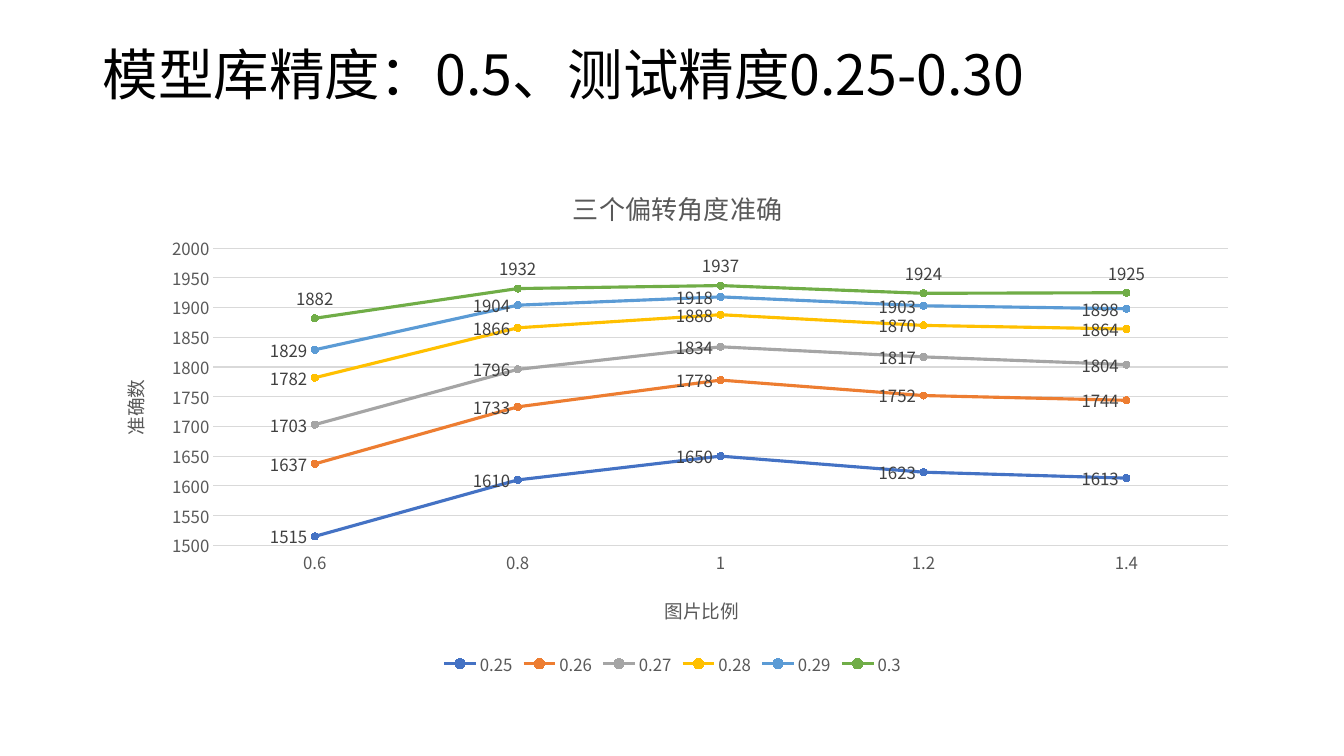
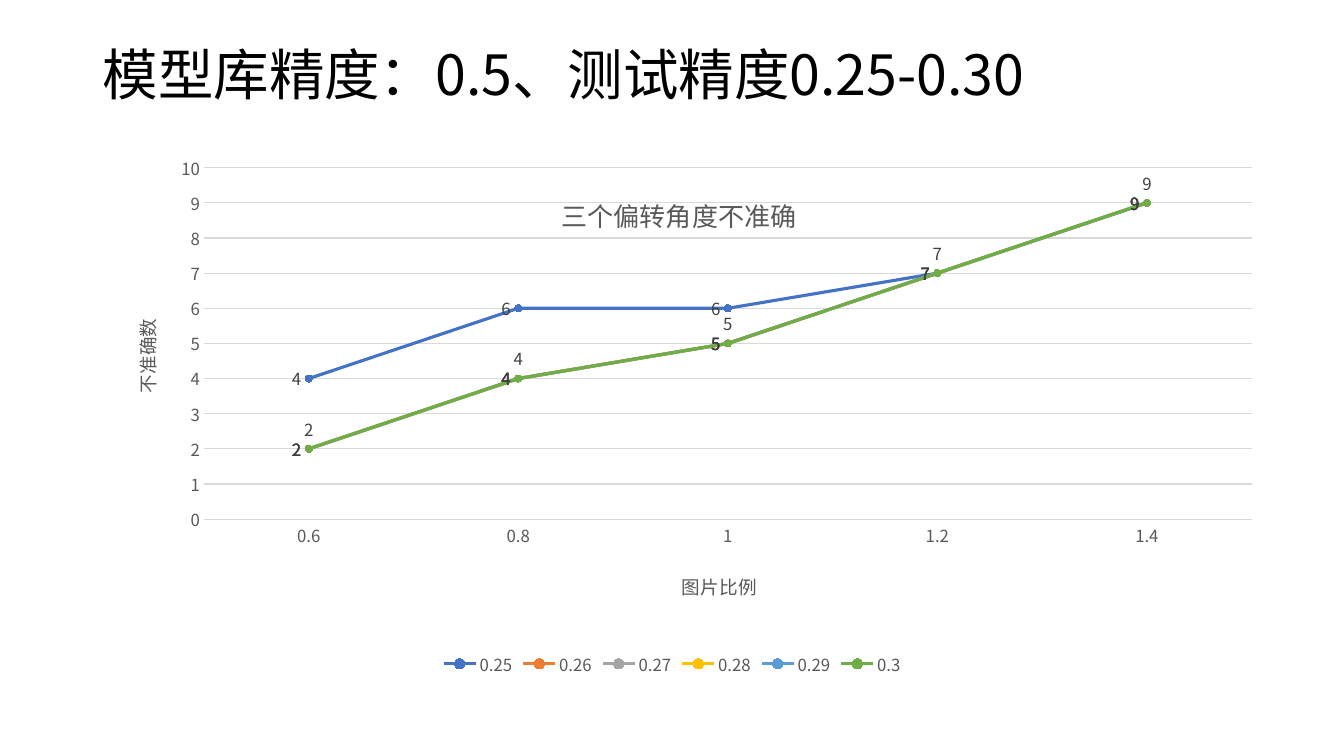
import pptx
import pptx.chart.data
import pptx.dml.color
import pptx.enum.chart
import pptx.enum.text
import pptx.oxml
import pptx.oxml.ns
import pptx.util
from pptx.util import Inches

FONT = "Noto Sans CJK SC"
BLACK, GRAY, LABEL_GRAY, GRID = "000000", "595959", "404040", "D9D9D9"
SERIES_COLORS = ["4472C4", "ED7D31", "A5A5A5", "FFC000", "5B9BD5", "70AD47"]
PRECISIONS = ["0.25", "0.26", "0.27", "0.28", "0.29", "0.3"]
SCALES = ["0.6", "0.8", "1", "1.2", "1.4"]
HEADING = "模型库精度：0.5、测试精度0.25-0.30"


def write(frame, text, size, color=GRAY, spacing=None):
    """Put one formatted paragraph into a text frame."""
    paragraph = frame.paragraphs[0]
    paragraph.line_spacing = spacing
    run = paragraph.add_run()
    run.text = text
    style(run.font, size, color)
    east_asian = run.font._element.makeelement(pptx.oxml.ns.qn("a:ea"), {"typeface": FONT})
    run.font._element.find(pptx.oxml.ns.qn("a:latin")).addnext(east_asian)


def style(font, size, color):
    font.name, font.size, font.bold = FONT, pptx.util.Pt(size), False
    font.color.rgb = pptx.dml.color.RGBColor.from_string(color)


# What differs between the slides; places are fractions of the chart area
slides = [
    dict(
        title="三个偏转角度准确", title_at=(0.41, 0.05),
        value_title="准确数", value_title_at=(0.02, 0.42), scale_title_at=(0.49, 0.83),
        axis=(1500, 2000, 50), plot_at=(0.104, 0.177, 0.875, 0.566),
        values=[
            [1515, 1610, 1650, 1623, 1613],
            [1637, 1733, 1778, 1752, 1744],
            [1703, 1796, 1834, 1817, 1804],
            [1782, 1866, 1888, 1870, 1864],
            [1829, 1904, 1918, 1903, 1898],
            [1882, 1932, 1937, 1924, 1925],
        ],
    ),
    dict(
        title="三个偏转角度不准确", title_at=(0.4, 0.057),
        value_title="不准确数", value_title_at=(0.03, 0.3), scale_title_at=(0.505, 0.783),
        axis=(0, 10, 1), plot_at=(0.096, 0.017, 0.904, 0.674),
        values=[[4, 6, 6, 7, 9]] + [[2, 4, 5, 7, 9]] * 5,
    ),
]

deck = pptx.Presentation()
deck.slide_width, deck.slide_height = Inches(13.33), Inches(7.5)

for content in slides:
    slide = deck.slides.add_slide(deck.slide_layouts[6])

    # Heading
    heading = slide.shapes.add_textbox(Inches(0.92), Inches(0.4), Inches(11.5), Inches(0.73)).text_frame
    heading.word_wrap = True
    heading.vertical_anchor = pptx.enum.text.MSO_ANCHOR.MIDDLE
    write(heading, HEADING, 39.6, BLACK, spacing=0.9)

    # Chart
    data = pptx.chart.data.CategoryChartData()
    data.categories = SCALES
    for precision, values in zip(PRECISIONS, content["values"]):
        data.add_series(precision, values)
    chart = slide.shapes.add_chart(
        pptx.enum.chart.XL_CHART_TYPE.LINE_MARKERS,
        Inches(0.92), Inches(1.54), Inches(11.5), Inches(5.21), data,
    ).chart
    style(chart.font, 10, BLACK)

    # Axes
    scale_axis, value_axis = chart.category_axis, chart.value_axis
    for axis in (scale_axis, value_axis):
        axis.major_tick_mark = axis.minor_tick_mark = pptx.enum.chart.XL_TICK_MARK.NONE
        style(axis.tick_labels.font, 12, GRAY)
    value_axis.minimum_scale, value_axis.maximum_scale, value_axis.major_unit = content["axis"]
    value_axis.format.line.fill.background()
    for line in (scale_axis.format.line, value_axis.major_gridlines.format.line):
        line.color.rgb = pptx.dml.color.RGBColor.from_string(GRID)
        line.width = pptx.util.Pt(0.75)

    # Titles
    write(chart.chart_title.text_frame, content["title"], 18.6)
    write(scale_axis.axis_title.text_frame, "图片比例", 13.3)
    value_title = value_axis.axis_title.text_frame
    write(value_title, content["value_title"], 13.3)
    value_title._txBody.bodyPr.set("rot", "-5400000")
    value_title._txBody.bodyPr.set("vert", "horz")

    # Places of the titles and the plot inside the chart
    plot_area = chart._chartSpace.chart.plotArea
    placed = [
        (chart.chart_title._element, 1, content["title_at"]),
        (scale_axis.axis_title._element, 1, content["scale_title_at"]),
        (value_axis.axis_title._element, 1, content["value_title_at"]),
        (plot_area, 0, content["plot_at"]),
    ]
    for part, index, place in placed:
        for old in part.findall(pptx.oxml.ns.qn("c:layout")):
            part.remove(old)
        target = '<c:layoutTarget val="inner"/>' if part is plot_area else ""
        modes = '<c:xMode val="edge"/><c:yMode val="edge"/>'
        sizes = "".join(f'<c:{key} val="{value}"/>' for key, value in zip("xywh", place))
        part.insert(index, pptx.oxml.parse_xml(
            f'<c:layout {pptx.oxml.ns.nsdecls("c")}><c:manualLayout>'
            f"{target}{modes}{sizes}</c:manualLayout></c:layout>"))

    # Legend
    chart.has_legend = True
    chart.legend.position = pptx.enum.chart.XL_LEGEND_POSITION.BOTTOM
    chart.legend.include_in_layout = False
    style(chart.legend.font, 12, GRAY)

    # Series; only the top line has its labels above
    chart.plots[0].vary_by_categories = False
    for series, color in zip(chart.plots[0].series, SERIES_COLORS):
        rgb = pptx.dml.color.RGBColor.from_string(color)
        series.smooth = False
        series.format.line.color.rgb = rgb
        series.format.line.width = pptx.util.Pt(2.25)
        series.marker.style = pptx.enum.chart.XL_MARKER_STYLE.CIRCLE
        series.marker.size = 5
        series.marker.format.fill.solid()
        series.marker.format.fill.fore_color.rgb = rgb
        series.marker.format.line.color.rgb = rgb
        labels = series.data_labels
        labels.show_value = True
        position = pptx.enum.chart.XL_LABEL_POSITION
        labels.position = position.ABOVE if series.name == PRECISIONS[-1] else position.LEFT
        style(labels.font, 12, LABEL_GRAY)

deck.save("out.pptx")
